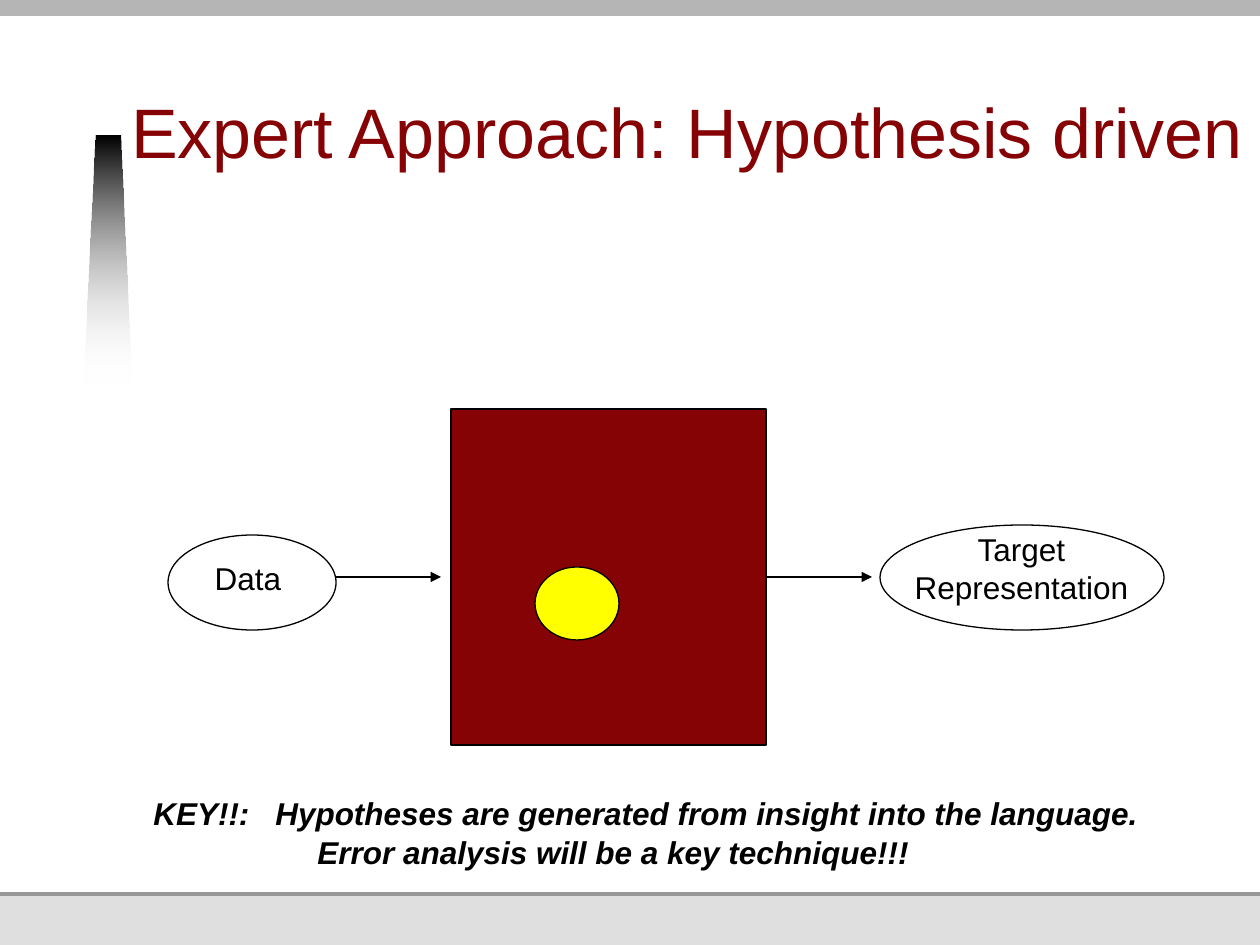
from dataclasses import dataclass

import pptx
import pptx.dml.color
import pptx.enum.shapes
import pptx.enum.text
import pptx.oxml
import pptx.oxml.ns
import pptx.util

PX_PER_INCH = 126
MSO = pptx.enum.shapes.MSO_SHAPE
ALIGN = pptx.enum.text.PP_ALIGN
ANCHOR = pptx.enum.text.MSO_ANCHOR


@dataclass(frozen=True)
class Theme:
    font: str = "Arial"
    title_size: int = 40
    title_leading: int = 34
    text_size: int = 18
    outline: float = 0.75
    maroon: str = "850205"
    yellow: str = "FFFF00"
    black: str = "000000"
    white: str = "FFFFFF"
    footer: str = "DFDFDF"
    rule: str = "989898"
    header: str = "B5B5B5"


@dataclass(frozen=True)
class Box:
    left: int
    top: int
    width: int
    height: int

    def emu(self):
        return [px(v) for v in (self.left, self.top, self.width, self.height)]


@dataclass(frozen=True)
class Figure:
    kind: int
    box: Box
    fill: str | None = None
    line: str | None = None


@dataclass(frozen=True)
class Label:
    text: str
    box: Box
    align: int = ALIGN.CENTER
    emphasis: bool = False
    tab: int | None = None


THEME = Theme()

BACKDROP = [
    Figure(MSO.RECTANGLE, Box(0, 0, 1260, 945), THEME.footer),
    Figure(MSO.RECTANGLE, Box(0, 224, 1260, 672), THEME.rule),
    Figure(MSO.RECTANGLE, Box(0, 0, 1260, 892), THEME.white),
    Figure(MSO.RECTANGLE, Box(0, -5, 1281, 21), THEME.header),
]
FADING_WEDGE = [(84, 384), (96, 136), (120, 136), (131, 384)]
TITLE_BOX = Box(131, 43, 1508, 136)

DIAGRAM = [
    Figure(MSO.RECTANGLE, Box(451, 409, 315, 336), THEME.maroon, THEME.black),
    Figure(MSO.OVAL, Box(880, 525, 284, 105), None, THEME.black),
    Figure(MSO.OVAL, Box(535, 567, 84, 73), THEME.yellow, THEME.black),
    Figure(MSO.OVAL, Box(168, 535, 168, 95), None, THEME.black),
]
FLOW_Y = 577
FLOW_SPANS = [(336, 441), (766, 872)]

LABELS = [
    Label("Target\nRepresentation", Box(902, 524, 239, 88)),
    Label("Data", Box(202, 553, 92, 50)),
    Label("KEY!!:\tHypotheses are generated from insight into the language.",
          Box(141, 788, 1021, 50), ALIGN.LEFT, True, 122),
    Label("Error analysis will be a key technique!!!",
          Box(305, 827, 641, 50), ALIGN.LEFT, True),
]


def px(value: int) -> int:
    return round(value * pptx.util.Inches(1) / PX_PER_INCH)


def rgb(value: str) -> pptx.dml.color.RGBColor:
    return pptx.dml.color.RGBColor.from_string(value)


def write_text(shape, text: str, *, size: int, color: str, align: int,
               anchor: int = ANCHOR.TOP, emphasis: bool = False,
               leading: int | None = None, tab: int | None = None) -> None:
    frame = shape.text_frame
    frame.text = text
    frame.word_wrap = tab is not None
    frame.vertical_anchor = anchor
    for paragraph in frame.paragraphs:
        if tab is not None:
            paragraph._p.get_or_add_pPr().append(pptx.oxml.parse_xml(
                f'<a:tabLst {pptx.oxml.ns.nsdecls("a")}>'
                f'<a:tab pos="{px(tab)}" algn="l"/></a:tabLst>'))
        paragraph.alignment = align
        if leading:
            paragraph.line_spacing = pptx.util.Pt(leading)
        for run in paragraph.runs:
            run.font.name = THEME.font
            run.font.size = pptx.util.Pt(size)
            run.font.color.rgb = rgb(color)
            run.font.bold = run.font.italic = emphasis


def draw_figure(slide, figure: Figure) -> None:
    shape = slide.shapes.add_shape(figure.kind, *figure.box.emu())
    shape.shadow.inherit = False
    if figure.fill:
        shape.fill.solid()
        shape.fill.fore_color.rgb = rgb(figure.fill)
    else:
        shape.fill.background()
    if figure.line:
        shape.line.color.rgb = rgb(figure.line)
        shape.line.width = pptx.util.Pt(THEME.outline)
    else:
        shape.line.fill.background()


def draw_wedge(slide, points: list[tuple[int, int]]) -> None:
    corners = [(px(x), px(y)) for x, y in points]
    builder = slide.shapes.build_freeform(*corners[0])
    builder.add_line_segments(corners[1:], close=True)
    wedge = builder.convert_to_shape()
    wedge.shadow.inherit = False
    wedge.line.fill.background()
    wedge.fill.gradient()
    wedge.fill.gradient_angle = 270
    for stop, color in zip(wedge.fill.gradient_stops, (THEME.black, THEME.white)):
        stop.color.rgb = rgb(color)
    faded = wedge._element.xpath(".//a:gs/a:srgbClr")[-1]
    faded.append(pptx.oxml.parse_xml(f'<a:alpha {pptx.oxml.ns.nsdecls("a")} val="0"/>'))


def draw_arrow(slide, start: int, end: int, y: int) -> None:
    arrow = slide.shapes.add_connector(
        pptx.enum.shapes.MSO_CONNECTOR.STRAIGHT, px(start), px(y), px(end), px(y))
    arrow.line.color.rgb = rgb(THEME.black)
    arrow.line.width = pptx.util.Pt(THEME.outline)
    namespace = pptx.oxml.ns.nsdecls("a")
    arrow.line._get_or_add_ln().append(
        pptx.oxml.parse_xml(f'<a:tailEnd {namespace} type="triangle"/>'))
    arrow._element.spPr.append(pptx.oxml.parse_xml(f"<a:effectLst {namespace}/>"))


def draw_label(slide, label: Label) -> None:
    write_text(slide.shapes.add_textbox(*label.box.emu()), label.text,
               size=THEME.text_size, color=THEME.black, align=label.align,
               emphasis=label.emphasis, tab=label.tab)


def draw_title(slide, text: str) -> None:
    title = slide.shapes.title
    slide.shapes._spTree.append(title._element)
    title.left, title.top, title.width, title.height = TITLE_BOX.emu()
    frame = title.text_frame
    frame.margin_left = frame.margin_right = frame.margin_top = 0
    frame.margin_bottom = pptx.util.Inches(0.05)
    write_text(title, text, size=THEME.title_size, color=THEME.maroon,
               align=ALIGN.LEFT, anchor=ANCHOR.BOTTOM, leading=THEME.title_leading)


def main() -> None:
    deck = pptx.Presentation()
    deck.slide_width, deck.slide_height = px(1260), px(945)
    slide = deck.slides.add_slide(deck.slide_layouts[5])
    for band in BACKDROP:
        draw_figure(slide, band)
    draw_wedge(slide, FADING_WEDGE)
    draw_title(slide, "Expert Approach: Hypothesis driven")
    for figure in DIAGRAM:
        draw_figure(slide, figure)
    for start, end in FLOW_SPANS:
        draw_arrow(slide, start, end, FLOW_Y)
    for label in LABELS:
        draw_label(slide, label)
    deck.save("out.pptx")


if __name__ == "__main__":
    main()
